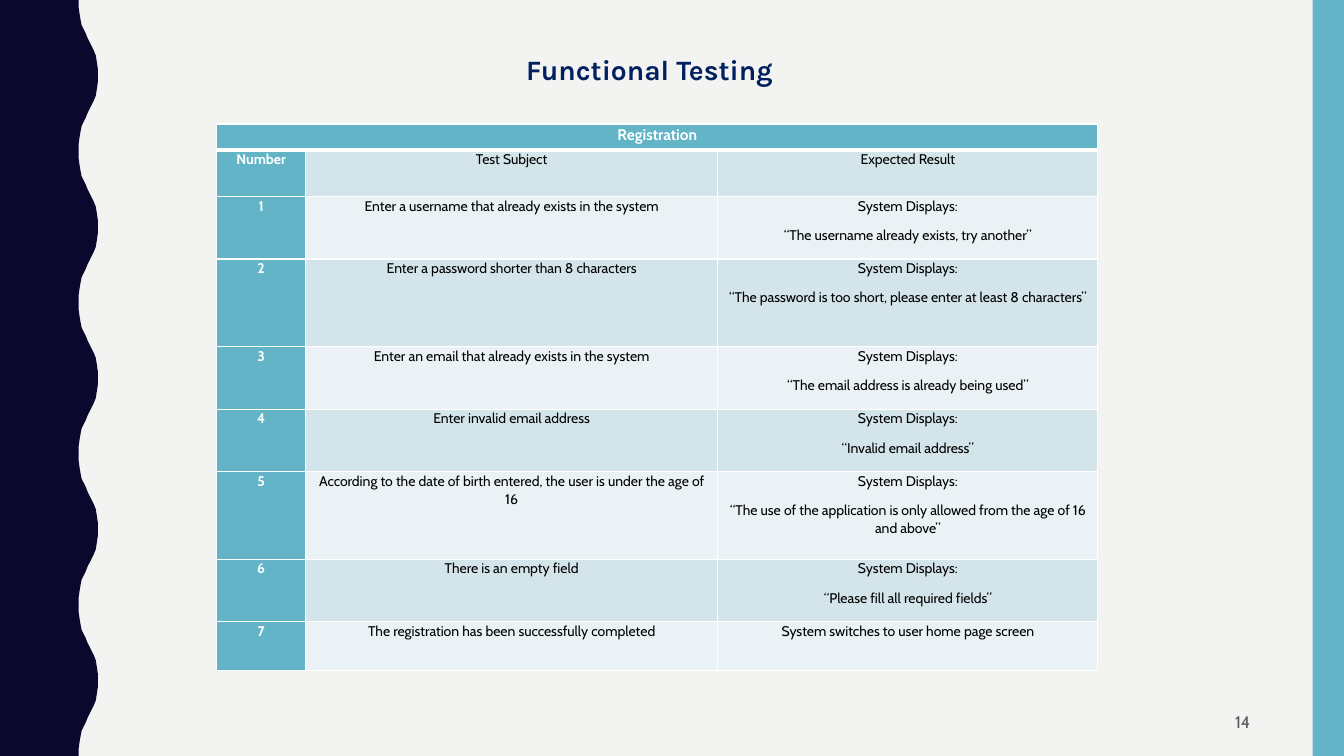
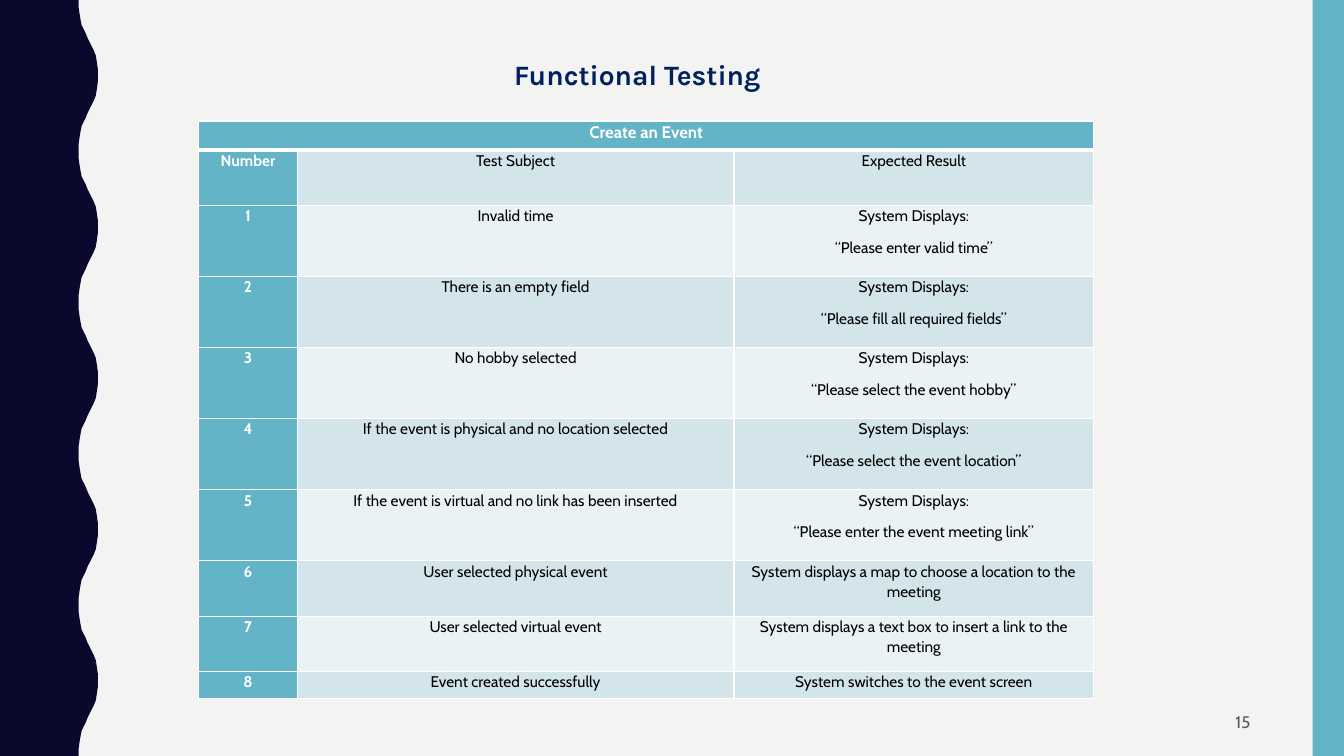
from lxml.etree import SubElement
from pptx import Presentation
from pptx.dml.color import RGBColor
from pptx.enum.shapes import MSO_SHAPE
from pptx.enum.text import MSO_ANCHOR, MSO_AUTO_SIZE, PP_ALIGN
from pptx.oxml.ns import qn
from pptx.util import Inches, Pt

HUES = {
    "paper": "F3F3F2", "night": "0B082E", "teal": "62B4C6", "navy": "002060",
    "dark": "D3E5EA", "light": "EAF2F5", "white": "FFFFFF", "black": "000000",
    "grey": "595959",
}
TITLE = {"name": "Karla", "size": Pt(20), "bold": True}
PAGE = {"name": "Cabin", "size": Pt(12), "bold": False}
CELL = {
    "margin_left": Inches(0.07), "margin_right": Inches(0.07),
    "margin_top": 0, "margin_bottom": 0, "vertical_anchor": MSO_ANCHOR.TOP,
}
PARA = {"alignment": PP_ALIGN.CENTER, "line_spacing": 1.07, "space_after": Pt(8)}

# One half of a wave, as (x, y) in hundredths of an inch
CURVE = [
    (78, 0), (78, 7), (79, 14), (80, 20), (81, 25), (83, 29), (85, 33), (87, 38),
    (89, 42), (91, 46), (93, 50), (95, 55), (96, 61), (97, 68), (97, 75),
]
WAVE = 150
SAYS = "System Displays:\n"

# Places and sizes are percentages of the slide's width or height
PAGES = [
    {
        "page": "14", "title": (38.4, 6.27), "table": (16.13, 16.4), "size": 10,
        "cols": [6.6, 30.68, 28.28],
        "rows": [3.47, 6.13, 8.27, 11.6, 8.27, 8.27, 11.6, 8.27, 6.4],
        "head": "Registration",
        "tests": [
            ("Enter a username that already exists in the system",
             SAYS + "“The username already exists, try another”"),
            ("Enter a password shorter than 8 characters",
             SAYS + "“The password is too short, please enter at least 8 characters”"),
            ("Enter an email that already exists in the system",
             SAYS + "“The email address is already being used”"),
            ("Enter invalid email address", SAYS + "“Invalid email address”"),
            ("According to the date of birth entered, the user is under the age of 16",
             SAYS + "“The use of the application is only allowed from the age of 16 and above”"),
            ("There is an empty field", SAYS + "“Please fill all required fields”"),
            ("The registration has been successfully completed",
             "System switches to user home page screen"),
        ],
    },
    {
        "page": "15", "title": (37.5, 6.93), "table": (14.78, 16), "size": 11,
        "cols": [7.35, 32.48, 26.78],
        "rows": [3.87, 7.33] + [9.4] * 5 + [7.33] * 2 + [3.6],
        "head": "Create an Event",
        "tests": [
            ("Invalid time", SAYS + "“Please enter valid time”"),
            ("There is an empty field", SAYS + "“Please fill all required fields”"),
            ("No hobby selected", SAYS + "“Please select the event hobby”"),
            ("If the event is physical and no location selected",
             SAYS + "“Please select the event location”"),
            ("If the event is virtual and no link has been inserted",
             SAYS + "“Please enter the event meeting link”"),
            ("User selected physical event",
             "System displays a map to choose a location to the meeting"),
            ("User selected virtual event",
             "System displays a text box to insert a link to the meeting"),
            ("Event created successfully", "System switches to the event screen"),
        ],
    },
]

deck = Presentation()
deck.slide_width, deck.slide_height = Inches(13.33), Inches(7.5)


def span(x, y, w, h):
    """Turn percentages of the slide into left, top, width and height."""
    wide, high = deck.slide_width, deck.slide_height
    return [round(part * side / 100)
            for part, side in zip((x, y, w, h), (wide, high, wide, high))]


def style(item, form, hue=None):
    """Set each format value on the item, and its colour if it is a font."""
    for key, value in form.items():
        setattr(item, key, value)
    if hue:
        item.color.rgb = RGBColor.from_string(HUES[hue])


layout = deck.slide_layouts.get_by_name("Title Only")
back = layout.background.fill
back.solid()
back.fore_color.rgb = RGBColor.from_string(HUES["paper"])
slides = [deck.slides.add_slide(layout) for _ in PAGES]

# Shared side bands, drawn once and moved to the layout
shapes = slides[0].shapes
edge = []
for top in range(0, 750, WAVE):
    edge += [(x, top + y) for x, y in CURVE]
    edge += [(x, top + WAVE - y) for x, y in reversed(CURVE[:-1])]
pen = shapes.build_freeform(0, 0, scale=Inches(0.01))
pen.add_line_segments(edge + [(0, 750)], close=True)
wave = pen.convert_to_shape()
bar = shapes.add_shape(MSO_SHAPE.RECTANGLE, *span(97.67, 0, 2.33, 100))
for band, hue in ((wave, "night"), (bar, "teal")):
    band.shadow.inherit = False
    band.fill.solid()
    band.fill.fore_color.rgb = RGBColor.from_string(HUES[hue])
    band.line.fill.background()
    layout.shapes.element.insert(2, band.element)

for slide, data in zip(slides, PAGES):
    title = slide.shapes.title
    title.left, title.top, title.width, title.height = span(*data["title"], 50, 5.87)
    frame = title.text_frame
    frame.text = "Functional Testing"
    style(frame, {"vertical_anchor": MSO_ANCHOR.TOP, "auto_size": MSO_AUTO_SIZE.NONE})
    frame.paragraphs[0].alignment = PP_ALIGN.LEFT
    style(frame.paragraphs[0].runs[0].font, TITLE, "navy")

    texts = [(data["head"], "", ""), ("Number", "Test Subject", "Expected Result")]
    texts += [(str(n), *test) for n, test in enumerate(data["tests"], 1)]
    area = span(*data["table"], sum(data["cols"]), sum(data["rows"]))
    table = slide.shapes.add_table(len(texts), 3, *area).table
    style(table, {"first_row": False, "horz_banding": False})
    for col, share in zip(table.columns, data["cols"]):
        col.width = round(share * deck.slide_width / 100)
    for row, share in zip(table.rows, data["rows"]):
        row.height = round(share * deck.slide_height / 100)
    table.cell(0, 0).merge(table.cell(0, 2))

    for r, line in enumerate(texts):
        for c, text in enumerate(line):
            cell = table.cell(r, c)
            style(cell, CELL)
            props = cell._tc.get_or_add_tcPr()
            for side in "LRTB":
                thick = (r, side) in ((0, "B"), (1, "T"))
                rule = SubElement(props, qn(f"a:ln{side}"), w=str(Pt(3 if thick else 1)))
                fill = SubElement(rule, qn("a:solidFill"))
                SubElement(fill, qn("a:srgbClr"), val=HUES["white"])
            head = r == 0 or c == 0
            hue = "teal" if head else "dark" if r % 2 else "light"
            cell.fill.solid()
            cell.fill.fore_color.rgb = RGBColor.from_string(HUES[hue])
            if not text:
                continue
            cell.text_frame.text = text
            font = {"name": "Cabin", "size": Pt(data["size"] + (r == 0)), "bold": head}
            for para in cell.text_frame.paragraphs:
                style(para, PARA)
                style(para.runs[0].font, font, "white" if head else "black")

    frame = slide.shapes.add_textbox(*span(70.67, 92.93, 23.1, 5.07)).text_frame
    style(frame, {"text": data["page"], "word_wrap": True,
                  "vertical_anchor": MSO_ANCHOR.MIDDLE})
    frame.paragraphs[0].alignment = PP_ALIGN.RIGHT
    style(frame.paragraphs[0].runs[0].font, PAGE, "grey")

deck.save("out.pptx")
